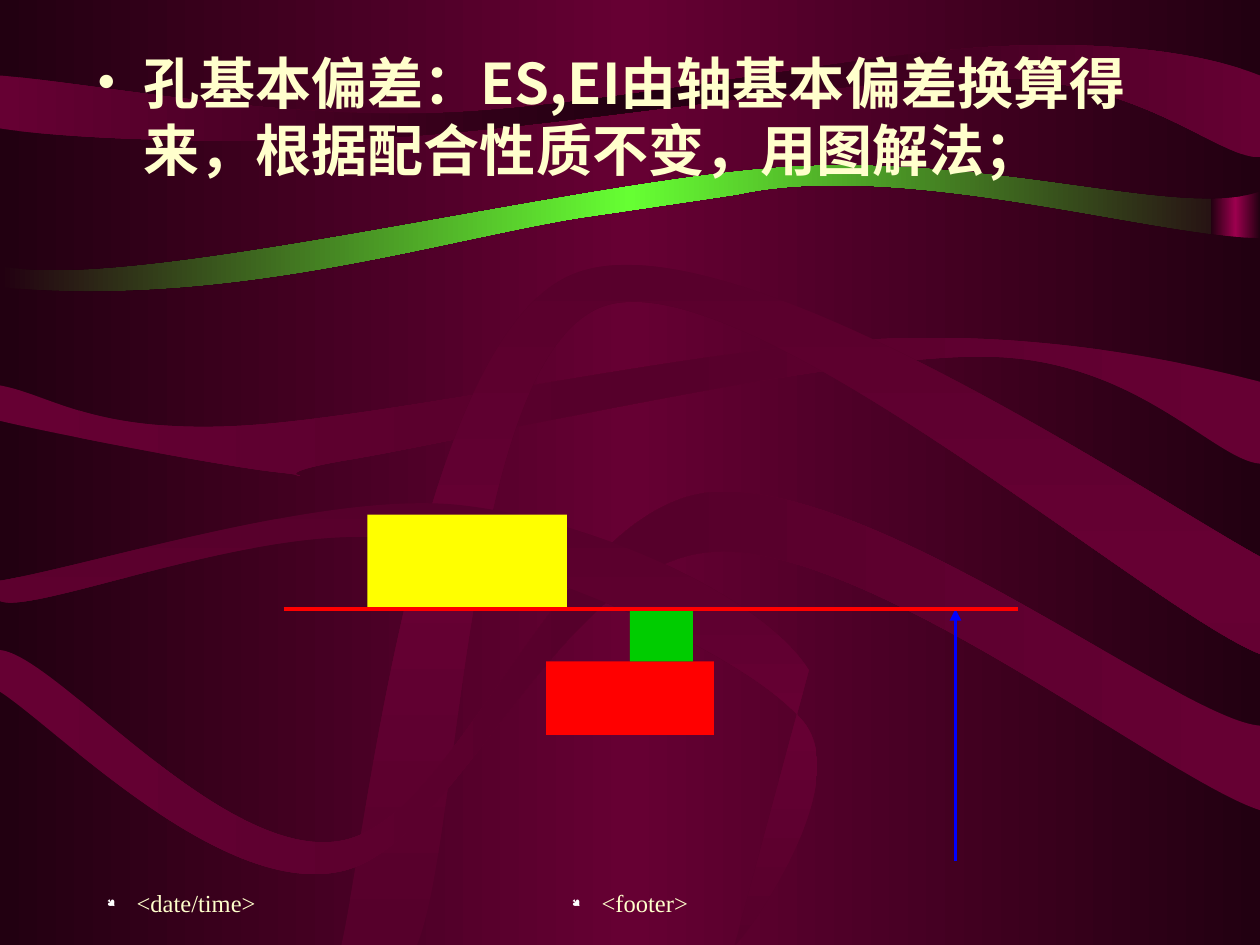
"""Build the slide on the basic deviation of holes with its tolerance zone diagram."""
from copy import deepcopy
from dataclasses import dataclass

from lxml import etree
from pptx import Presentation
from pptx.dml.color import RGBColor
from pptx.enum import shapes, text
from pptx.oxml import ns
from pptx.util import Pt

DARK, WINE, PLUM = "220011", "660033", "56002B"
CREAM = "FFFFCC"
W, H = 720, 540


@dataclass
class Ribbon:
    edge: str
    mid: str
    angle: int
    start: tuple
    segments: list


@dataclass
class Zone:
    x: float
    y: float
    w: float
    h: float
    color: str


@dataclass
class Line:
    start: tuple
    end: tuple
    color: str
    arrow: bool = False


RIBBONS = [
    Ribbon(DARK, WINE, 0, (0, 0), [
        (W, 0), (W, 109.4), (675.4, 125.3, 570.2, 87.8, 450, 95),
        (329.8, 102.2, 74.9, 167.8, 0, 151.9), (0, 0)]),
    Ribbon(DARK, WINE, 0, (0, 164.2), [
        (128.2, 176.4, 244.8, 139.7, 329.8, 125.3),
        (329.8, 125.3, 408.2, 113.8, 421.9, 111.6),
        (514.8, 91.4, 660.2, 136.1, W, 136.1), (W, H), (0, H),
        (0, H, 0, 164.2, 0, 164.2)]),
    Ribbon(WINE, DARK, 0, (0, 43.2), [
        (0, 73.4), (36.7, 79.2, 126.7, 82.8, 221.8, 78.5),
        (316.8, 73.4, 488.9, 43.2, 571.7, 44.6), (654.5, 46.8, 695.5, 90, W, 90),
        (W, 43.2), (694.8, 33.1, 648.7, 23, 570.2, 26.6),
        (491, 30.2, 343.4, 61.9, 248.4, 64.8), (153.4, 67.7, 51.8, 47.5, 0, 43.2)]),
    Ribbon(WINE, PLUM, 0, (0, 220.3), [
        (0, 240.5), (26.6, 247, 126, 266.4, 159.8, 270),
        (193.7, 273.6, 136.8, 272.9, 203, 262.1),
        (270, 250.6, 475.2, 203, 561.6, 203.8), (648, 203.8, 693.4, 262.8, W, 265),
        (W, 218.2), (684, 208.8, 601.9, 189.4, 504.7, 193.7),
        (407.5, 197.3, 221, 239, 136.8, 243.4), (52.6, 247.7, 28.8, 225.4, 0, 220.3)]),
    Ribbon(PLUM, WINE, 90, (195.1, H), [
        (209.5, 475.9, 239, 193.7, 326.9, 157), (414, 119.5, 654.5, 282.2, W, 318.2),
        (W, 373.7), (657.4, 349.2, 425.5, 147.6, 344.9, 175),
        (265, 203, 263.5, 479.5, 238.3, H), (195.1, H)]),
    Ribbon(WINE, PLUM, 0, (0, 371.5), [
        (0, 395.3), (32.4, 416.2, 125.3, 511.9, 193.7, 498.2),
        (261.4, 485.3, 319, 321.1, 406.8, 315.4), (494.6, 308.9, 667.4, 446.4, W, 463),
        (W, 414.7), (675.4, 411.8, 497.5, 271.4, 404.6, 281.5),
        (317.5, 292.3, 264.2, 465.1, 196.6, 480.2), (128.9, 494.6, 32.4, 374.4, 0, 371.5)]),
    Ribbon(PLUM, WINE, 90, (0, 331.9), [
        (0, 343.4), (18.7, 352.1, 149.8, 297.4, 226.1, 308.2),
        (302.4, 319.7, 426.2, 373, 458.6, 411.8), (491, 450, 419, 545, 419.8, H),
        (462.2, 383), (436.3, 341.3, 340.6, 297.4, 263.5, 288.7),
        (186.5, 280.1, 54.7, 322.6, 0, 331.9)]),
]
ZONES = [Zone(210, 294, 114, 54, "FFFF00"), Zone(312, 378, 96, 42, "FF0000"),
         Zone(360, 348, 36, 30, "00CC00")]
ARROW = Line((546, 492), (546, 348), "0000FF", arrow=True)
ZERO_LINE = Line((162, 348), (582, 348), "FF0000")


def rgb(value: str) -> RGBColor:
    return RGBColor.from_string(value)


def add_xml(parent, tag: str, **attrs):
    return etree.SubElement(parent, ns.qn(tag), attrs)


def set_gradient(fill, element, edge: str, mid: str, angle: int = 0) -> None:
    fill.gradient()
    fill.gradient_angle = angle
    for stop, color, position in zip(fill.gradient_stops, (edge, mid), (0, 0.5)):
        stop.color.rgb = rgb(color)
        stop.position = position
    stops = element.xpath(".//a:gsLst")[0]
    last = deepcopy(stops[0])
    last.set("pos", "100000")
    stops.append(last)


def bend(sp, segments: list) -> None:
    """Turn each run of three line points of a curved segment into one Bezier."""
    lines = iter(sp.element.xpath(".//a:lnTo"))
    for segment in segments:
        first = next(lines)
        if len(segment) == 6:
            curve = etree.Element(ns.qn("a:cubicBezTo"))
            first.addprevious(curve)
            for line in (first, next(lines), next(lines)):
                curve.append(line[0])
                line.getparent().remove(line)


def draw_ribbon(s, ribbon: Ribbon) -> None:
    points = [(Pt(seg[i]), Pt(seg[i + 1]))
              for seg in ribbon.segments for i in range(0, len(seg), 2)]
    builder = s.shapes.build_freeform(*(Pt(v) for v in ribbon.start))
    builder.add_line_segments(points, close=True)
    sp = builder.convert_to_shape()
    bend(sp, ribbon.segments)
    sp.shadow.inherit = False
    sp.line.fill.background()
    set_gradient(sp.fill, sp.element, ribbon.edge, ribbon.mid, ribbon.angle)


def draw_rect(s, zone: Zone):
    sp = s.shapes.add_shape(shapes.MSO_SHAPE.RECTANGLE, Pt(zone.x), Pt(zone.y),
                            Pt(zone.w), Pt(zone.h))
    sp.shadow.inherit = False
    sp.line.fill.background()
    sp.fill.solid()
    sp.fill.fore_color.rgb = rgb(zone.color)
    return sp


def draw_line(s, line: Line) -> None:
    sp = s.shapes.add_connector(shapes.MSO_CONNECTOR.STRAIGHT,
                                *(Pt(v) for v in line.start + line.end))
    sp.line.color.rgb = rgb(line.color)
    sp.line.width = Pt(2.25)
    if line.arrow:
        add_xml(sp.line._get_or_add_ln(), "a:tailEnd", type="triangle")
    add_xml(sp.element.spPr, "a:effectLst")


def write(sp, content: str, *, size: float, font: str, bullet: str, bullet_color: str,
          bullet_font: str, hang: float, bullet_size: int = 100, bold: bool = False,
          spacing=None, align=text.PP_ALIGN.LEFT, anchor=text.MSO_ANCHOR.TOP) -> None:
    tf = sp.text_frame
    tf.word_wrap = True
    tf.auto_size = text.MSO_AUTO_SIZE.NONE
    tf.vertical_anchor = anchor
    tf.margin_left = tf.margin_right = Pt(7.2)
    tf.margin_top = tf.margin_bottom = Pt(3.6)
    p = tf.paragraphs[0]
    p.alignment = align
    p.space_before = Pt(0)
    p.line_spacing = spacing
    pPr = p._p.get_or_add_pPr()
    pPr.set("marL", str(Pt(hang)))
    pPr.set("indent", str(-Pt(hang)))
    add_xml(add_xml(pPr, "a:buClr"), "a:srgbClr", val=bullet_color)
    add_xml(pPr, "a:buSzPct", val=str(bullet_size * 1000))
    add_xml(pPr, "a:buFont", typeface=bullet_font)
    add_xml(pPr, "a:buChar", char=bullet)
    r = p.add_run()
    r.text = content
    r.font.size, r.font.bold, r.font.name = Pt(size), bold, font
    r.font.color.rgb = rgb(CREAM)
    add_xml(r._r.get_or_add_rPr(), "a:ea", typeface=font)


def main() -> None:
    prs = Presentation()
    prs.slide_width, prs.slide_height = Pt(W), Pt(H)
    s = prs.slides.add_slide(prs.slide_layouts[1])
    title, body = s.placeholders
    title.element.getparent().remove(title.element)
    set_gradient(s.background.fill, s.element, DARK, "66FF33")

    edge = draw_rect(s, Zone(691.9, 35.3, 28.1, 248.4, DARK))
    set_gradient(edge.fill, edge.element, DARK, "9C004E")
    for ribbon in RIBBONS:
        draw_ribbon(s, ribbon)

    for label, x, w, align in (("<footer>", 246, 228, text.PP_ALIGN.CENTER),
                               ("<date/time>", 54, 150, text.PP_ALIGN.LEFT)):
        write(s.shapes.add_textbox(Pt(x), Pt(492), Pt(w), Pt(36)), label, size=14,
              font="Times New Roman", bullet="●", bullet_color="FFFFFF",
              bullet_font="Wingdings", bullet_size=45, hang=17, align=align,
              anchor=text.MSO_ANCHOR.BOTTOM)

    body.left, body.top, body.width, body.height = Pt(48), Pt(24), Pt(612), Pt(90)
    body.element.getparent().append(body.element)
    write(body, "孔基本偏差：ES,EI由轴基本偏差换算得来，根据配合性质不变，用图解法；", size=32,
          font="Noto Sans CJK JP", bullet="•", bullet_color=CREAM,
          bullet_font="Times New Roman", hang=27, bold=True, spacing=Pt(38.3))

    draw_line(s, ARROW)
    for zone in ZONES:
        draw_rect(s, zone)
    draw_line(s, ZERO_LINE)
    prs.save("out.pptx")


if __name__ == "__main__":
    main()
